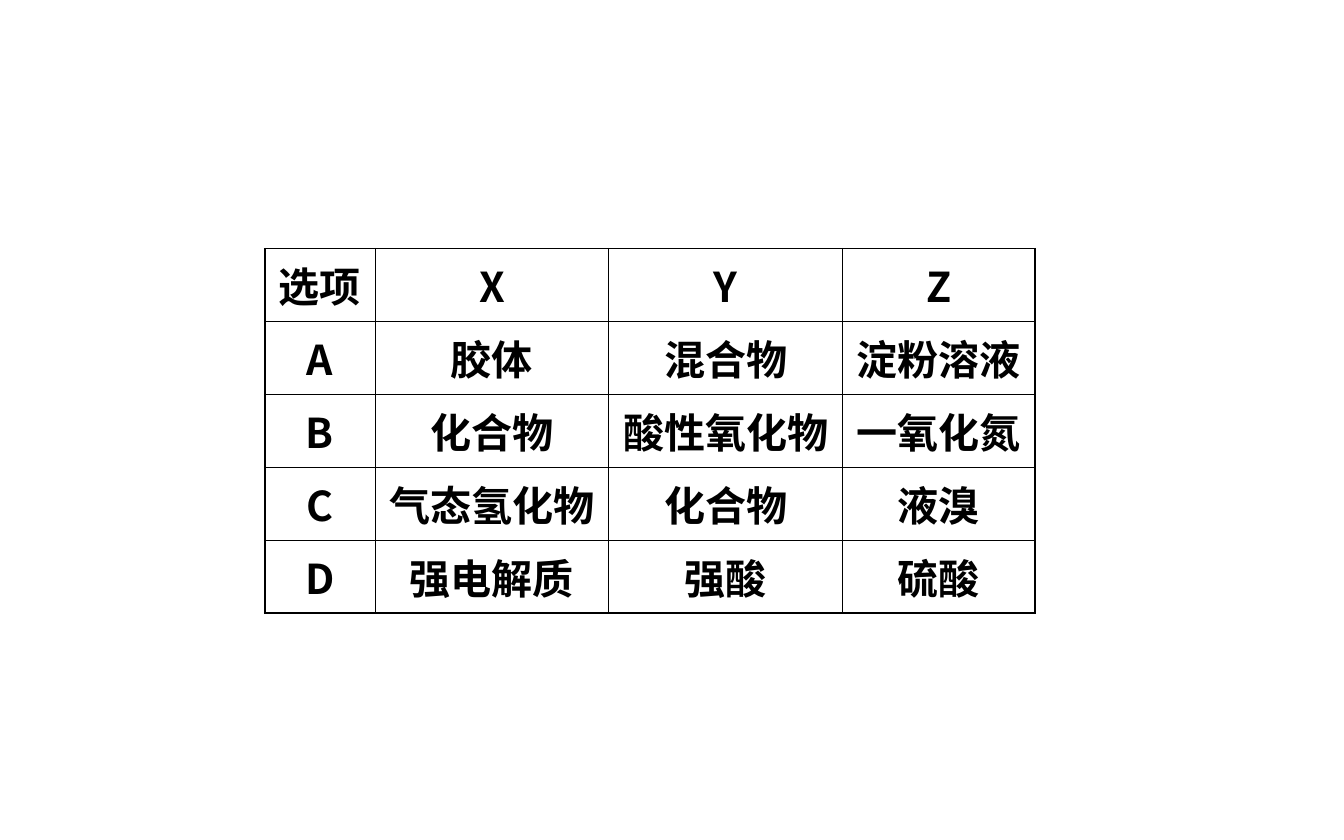
from lxml.etree import SubElement
from pptx import Presentation
from pptx.dml.color import RGBColor
from pptx.enum.text import MSO_ANCHOR, PP_ALIGN
from pptx.oxml.ns import qn
from pptx.util import Inches, Pt

BLACK = RGBColor(0x00, 0x00, 0x00)
FONT = "Noto Sans CJK SC"
OUTER, INNER = Pt(0.96), Pt(0.45)

OPTIONS = [
    ["选项", "X", "Y", "Z"],
    ["A", "胶体", "混合物", "淀粉溶液"],
    ["B", "化合物", "酸性氧化物", "一氧化氮"],
    ["C", "气态氢化物", "化合物", "液溴"],
    ["D", "强电解质", "强酸", "硫酸"],
]
COLUMN_WIDTHS = [Inches(width) for width in (0.82, 1.74, 1.74, 1.43)]
ROW_HEIGHT = Inches(0.47)


def add_border(cell, side, width):
    line = SubElement(cell._tc.get_or_add_tcPr(), qn(f"a:ln{side}"), w=str(width))
    fill = SubElement(line, qn("a:solidFill"))
    SubElement(fill, qn("a:srgbClr"), val=str(BLACK))


prs = Presentation()
prs.slide_width, prs.slide_height = Inches(10), Inches(6.25)
slide = prs.slides.add_slide(prs.slide_layouts[6])

last_row, last_column = len(OPTIONS) - 1, len(COLUMN_WIDTHS) - 1
options_table = slide.shapes.add_table(
    len(OPTIONS), len(COLUMN_WIDTHS), Inches(1.97), Inches(1.85),
    sum(COLUMN_WIDTHS), ROW_HEIGHT * len(OPTIONS)).table
options_table.first_row = options_table.horz_banding = False

for column, width in zip(options_table.columns, COLUMN_WIDTHS):
    column.width = width

for r, row in enumerate(OPTIONS):
    options_table.rows[r].height = ROW_HEIGHT
    for c, wording in enumerate(row):
        cell = options_table.cell(r, c)
        cell.vertical_anchor = MSO_ANCHOR.MIDDLE
        edges = {"L": c == 0, "R": c == last_column, "T": r == 0, "B": r == last_row}
        for side, is_outer in edges.items():
            add_border(cell, side, OUTER if is_outer else INNER)
        cell.fill.background()

        paragraph = cell.text_frame.paragraphs[0]
        paragraph.alignment = PP_ALIGN.CENTER
        run = paragraph.add_run()
        run.text = wording
        run.font.size = Pt(22)
        run.font.bold = True
        run.font.color.rgb = BLACK
        run.font.name = FONT
        SubElement(run._r.get_or_add_rPr(), qn("a:ea"), typeface=FONT)

prs.save("out.pptx")
